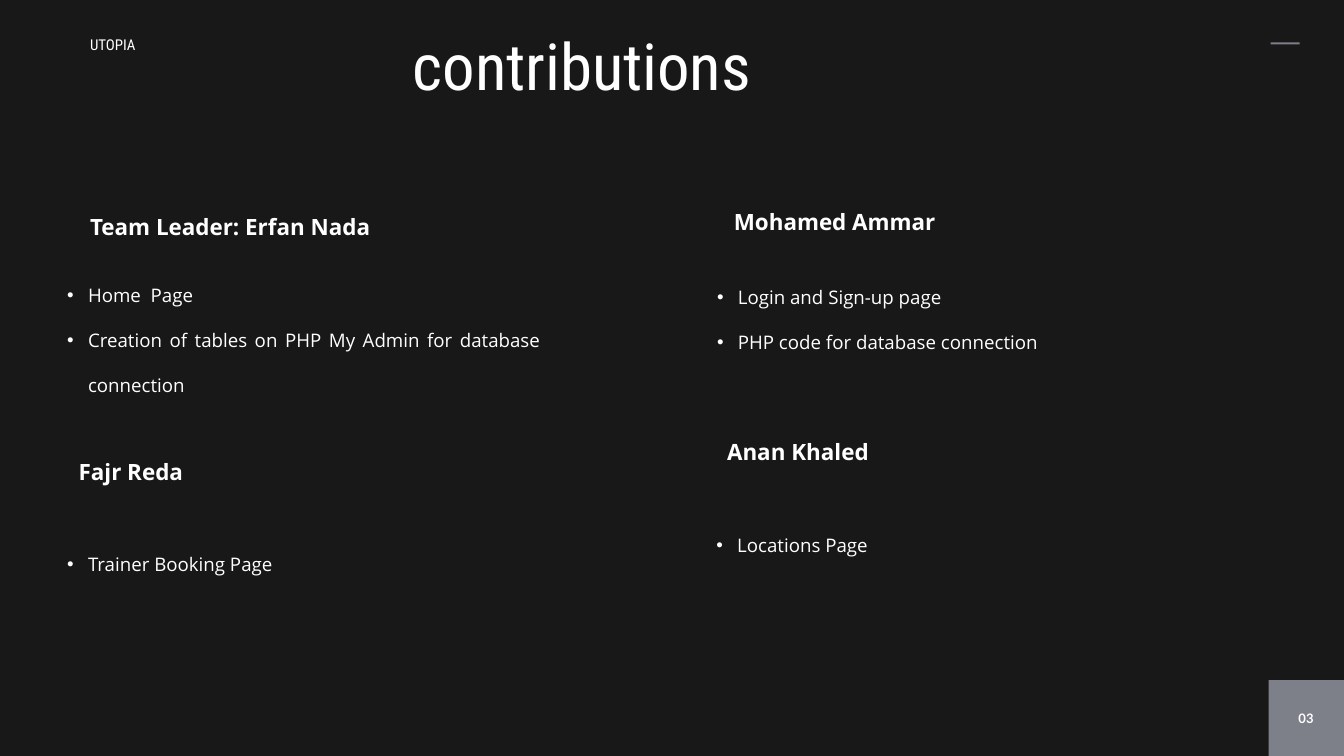
import pptx
import pptx.dml.color
import pptx.enum.shapes
import pptx.enum.text
import pptx.oxml
import pptx.util
from pptx.util import Inches

COLORS = {"back": "191818", "text": "FFFFFF", "accent": "7D7F89"}
ALIGN = pptx.enum.text.PP_ALIGN


def color(name):
    return pptx.dml.color.RGBColor.from_string(COLORS[name])


class Deck:
    """Holds the style and the current slide."""

    head = "Roboto Condensed"
    body = "Open Sans"
    page = "Lato"

    def __init__(self):
        self.show = pptx.Presentation()
        self.show.slide_width = Inches(20)
        self.show.slide_height = Inches(11.25)
        # The comparison layout has a title and four body placeholders
        self.slide = self.show.slides.add_slide(self.show.slide_layouts[4])
        fill = self.slide.background.fill
        fill.solid()
        fill.fore_color.rgb = color("back")

    def block(self, left, top, width, height):
        kind = pptx.enum.shapes.MSO_SHAPE.RECTANGLE
        shape = self.slide.shapes.add_shape(
            kind, Inches(left), Inches(top), Inches(width), Inches(height))
        shape.shadow.inherit = False
        shape.fill.solid()
        shape.fill.fore_color.rgb = color("accent")
        shape.line.fill.background()

    def frame(self, shape):
        frame = shape.text_frame
        frame.word_wrap = True
        frame.auto_size = pptx.enum.text.MSO_AUTO_SIZE.NONE
        frame.vertical_anchor = pptx.enum.text.MSO_ANCHOR.TOP
        frame.margin_left = frame.margin_right = 0
        frame.margin_top = frame.margin_bottom = 0
        return frame

    def add_run(self, para, text, font, size, space, bold=False, align=ALIGN.LEFT):
        para.alignment = align
        para.line_spacing = space
        para.space_before = para.space_after = pptx.util.Pt(0)
        run = para.add_run()
        run.text = text
        run.font.name = font
        run.font.size = pptx.util.Pt(size)
        run.font.bold = bold
        run.font.color.rgb = color("text")

    def place(self, index, left, top, width, height):
        shape = self.slide.placeholders[index]
        shape.left, shape.top = Inches(left), Inches(top)
        shape.width, shape.height = Inches(width), Inches(height)
        return self.frame(shape)

    def title(self, text, left, top, width, height):
        frame = self.place(0, left, top, width, height)
        self.add_run(frame.paragraphs[0], text, self.head, 69.5,
                     pptx.util.Pt(66.7))

    def label(self, text, left, top, width, height, font, size, space, **style):
        box = self.slide.shapes.add_textbox(
            Inches(left), Inches(top), Inches(width), Inches(height))
        para = self.frame(box).paragraphs[0]
        self.add_run(para, text, font, size, pptx.util.Pt(space), **style)

    def bullet(self, para):
        props = para._p.get_or_add_pPr()
        props.set("marL", str(Inches(0.31)))
        props.set("indent", str(Inches(-0.31)))
        for tag, key, value in (("buFont", "typeface", "Arial"),
                                ("buChar", "char", "•")):
            item = pptx.oxml.parse_xml(
                f'<a:{tag} xmlns:a="http://schemas.openxmlformats.org/'
                f'drawingml/2006/main" {key}="{value}"/>')
            props.append(item)

    def tasks(self, index, items, left, top, height):
        frame = self.place(index, left, top, 7.04, height)
        for i, text in enumerate(items):
            para = frame.add_paragraph() if i else frame.paragraphs[0]
            self.bullet(para)
            self.add_run(para, text, self.body, 20, 2.0, align=ALIGN.JUSTIFY)


def main():
    deck = Deck()

    # Corner marks
    deck.block(18.91, 0.63, 0.43, 0.03)
    deck.block(18.88, 10.12, 1.12, 1.13)

    # Header and page number
    deck.label("UTOPIA", 1.34, 0.49, 1.34, 0.33, deck.head, 16, 22.4)
    deck.label("03", 18.99, 10.54, 0.89, 0.26, deck.page, 14, 19.6,
               bold=True, align=ALIGN.CENTER)
    deck.title("contributions", 6.14, 0.61, 6.32, 0.94)

    # Members: name and its corner, then tasks with their corner and height
    team = [
        ("Team Leader: Erfan Nada", 1.34, 3.3,
         ["Home  Page",
          "Creation of tables on PHP My Admin for database connection"],
         1, 3.89, 1.92),
        ("Mohamed Ammar", 10.92, 3.23,
         ["Login and Sign-up page", "PHP code for database connection"],
         10.67, 3.92, 1.25),
        ("Fajr Reda", 1.17, 6.94, ["Trainer Booking Page"], 1, 7.9, 0.58),
        ("Anan Khaled", 10.82, 6.65, ["Locations Page"], 10.66, 7.61, 0.58),
    ]
    for index, (name, left, top, items, *spot) in enumerate(team, 1):
        deck.label(name, left, top, 6, 0.3, deck.body, 24, 19.6, bold=True)
        deck.tasks(index, items, *spot)

    deck.show.save("out.pptx")


if __name__ == "__main__":
    main()
